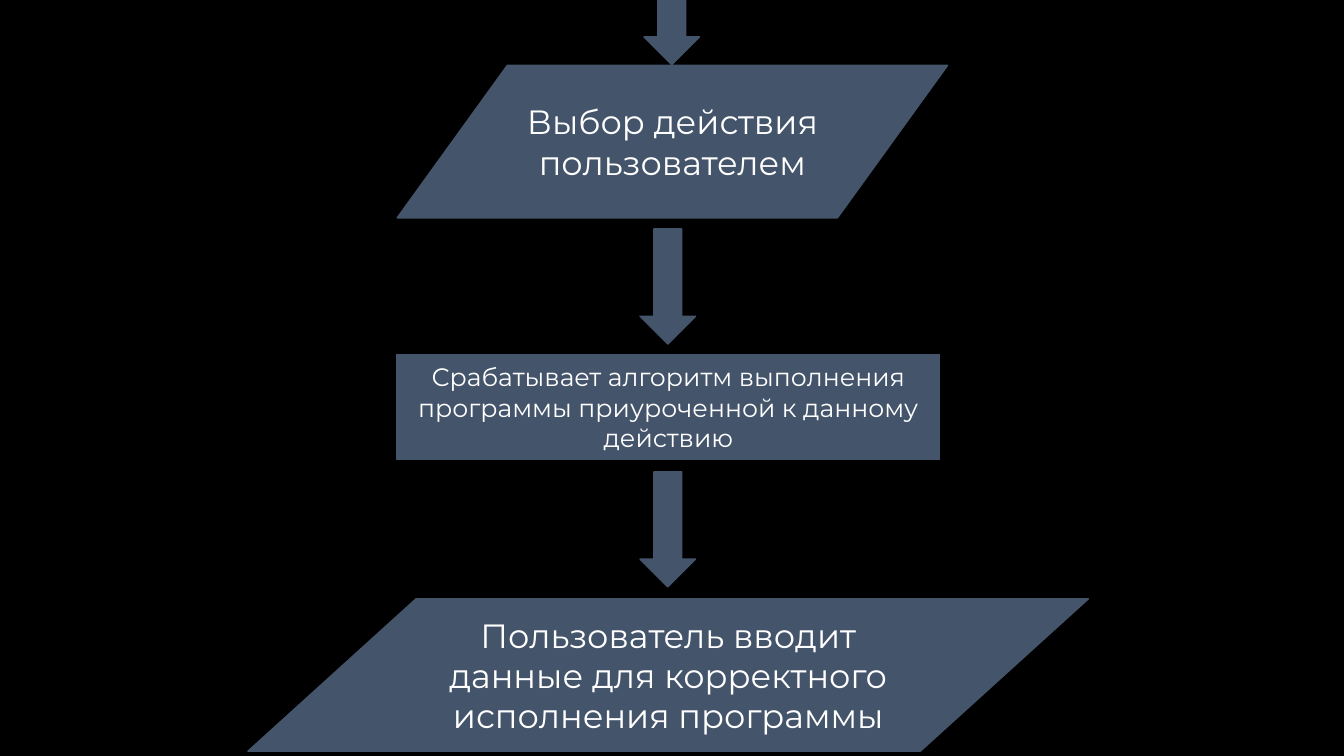
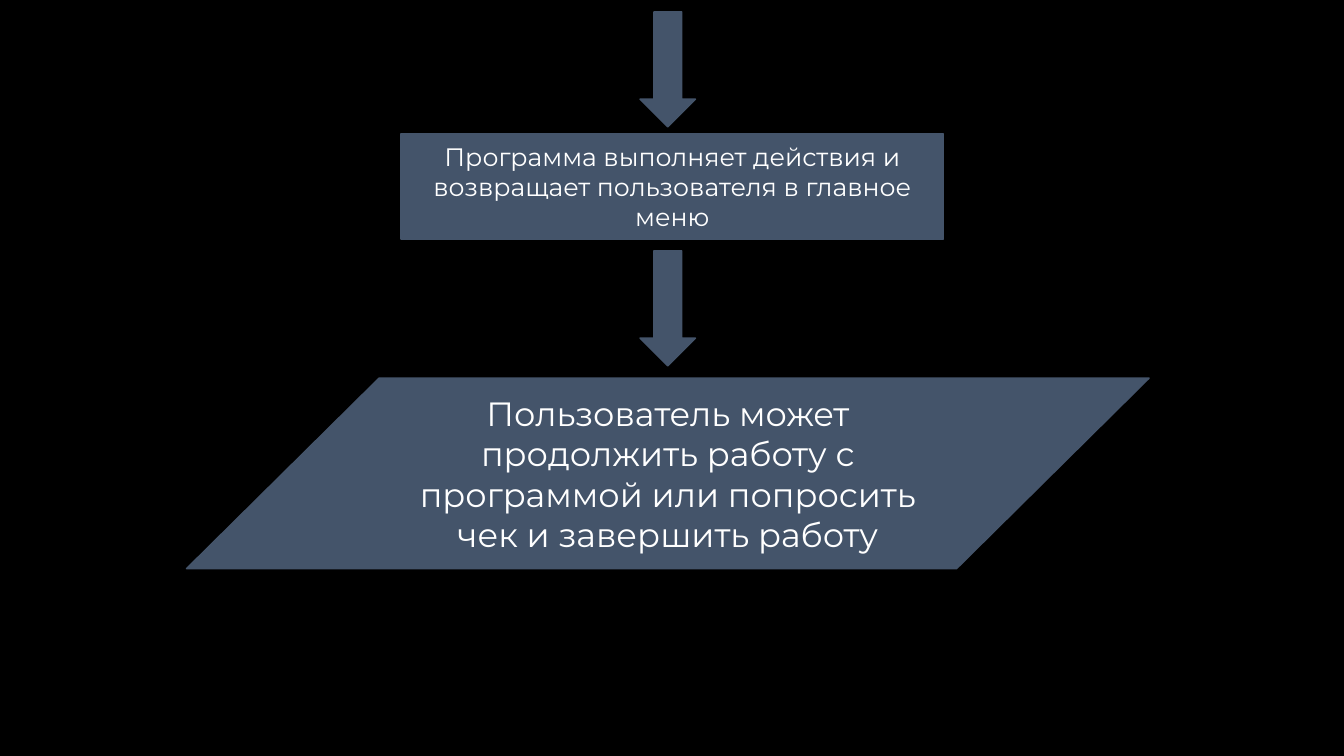
from pptx import Presentation
from pptx.dml.color import RGBColor
from pptx.enum.shapes import MSO_SHAPE as SHAPE
from pptx.enum.text import MSO_ANCHOR as ANCHOR, PP_ALIGN as ALIGN
from pptx.util import Cm, Pt

BLACK = RGBColor(0x00, 0x00, 0x00)
SLATE = RGBColor(0x44, 0x54, 0x6A)
WHITE = RGBColor(0xFF, 0xFF, 0xFF)
FONT = "Montserrat"
ARROW_W, ARROW_H = 1.4, 2.9
STEP_W, STEP_H = 13.67, 2.64
DATA_SIZE, STEP_SIZE = 24, 18


def add_block(s, kind, x, y, w, h):
    sp = s.shapes.add_shape(kind, Cm(x), Cm(y), Cm(w), Cm(h))
    sp.shadow.inherit = False
    sp.fill.solid()
    sp.fill.fore_color.rgb = SLATE
    sp.line.color.rgb = SLATE
    sp.line.width = Pt(1)
    return sp


def add_label(sp, text, size):
    tf = sp.text_frame
    tf.word_wrap = True
    tf.vertical_anchor = ANCHOR.MIDDLE
    p = tf.paragraphs[0]
    p.text = text
    p.alignment = ALIGN.CENTER
    r = p.runs[0]
    r.font.name = FONT
    r.font.size = Pt(size)
    r.font.color.rgb = WHITE


slides = [
    {
        "arrows": [(16.23, -1.27), (16.13, 5.77), (16.13, 11.89)],
        "steps": [
            (10.01, 8.94, "Срабатывает алгоритм выполнения программы приуроченной к данному действию"),
        ],
        "data": [
            (10.01, 1.65, 13.87, 3.84, "Выбор действия пользователем"),
            (6.25, 15.09, 21.18, 3.84, "Пользователь вводит данные для корректного исполнения программы"),
        ],
    },
    {
        "arrows": [(16.13, 0.3), (16.13, 6.32)],
        "steps": [
            (10.11, 3.38, "Программа выполняет действия и возвращает пользователя в главное меню"),
        ],
        "data": [
            (4.7, 9.53, 24.26, 4.8,
             "Пользователь может продолжить работу с программой или попросить чек и завершить работу"),
        ],
    },
]

prs = Presentation()
prs.slide_width = Cm(33.87)
prs.slide_height = Cm(19.05)
background = prs.slide_master.background.fill
background.solid()
background.fore_color.rgb = BLACK

for flow in slides:
    s = prs.slides.add_slide(prs.slide_layouts[6])
    for x, y, w, h, text in flow["data"]:
        add_label(add_block(s, SHAPE.FLOWCHART_DATA, x, y, w, h), text, DATA_SIZE)
    for x, y, text in flow["steps"]:
        add_label(add_block(s, SHAPE.RECTANGLE, x, y, STEP_W, STEP_H), text, STEP_SIZE)
    for x, y in flow["arrows"]:
        add_block(s, SHAPE.DOWN_ARROW, x, y, ARROW_W, ARROW_H)

prs.save("out.pptx")
